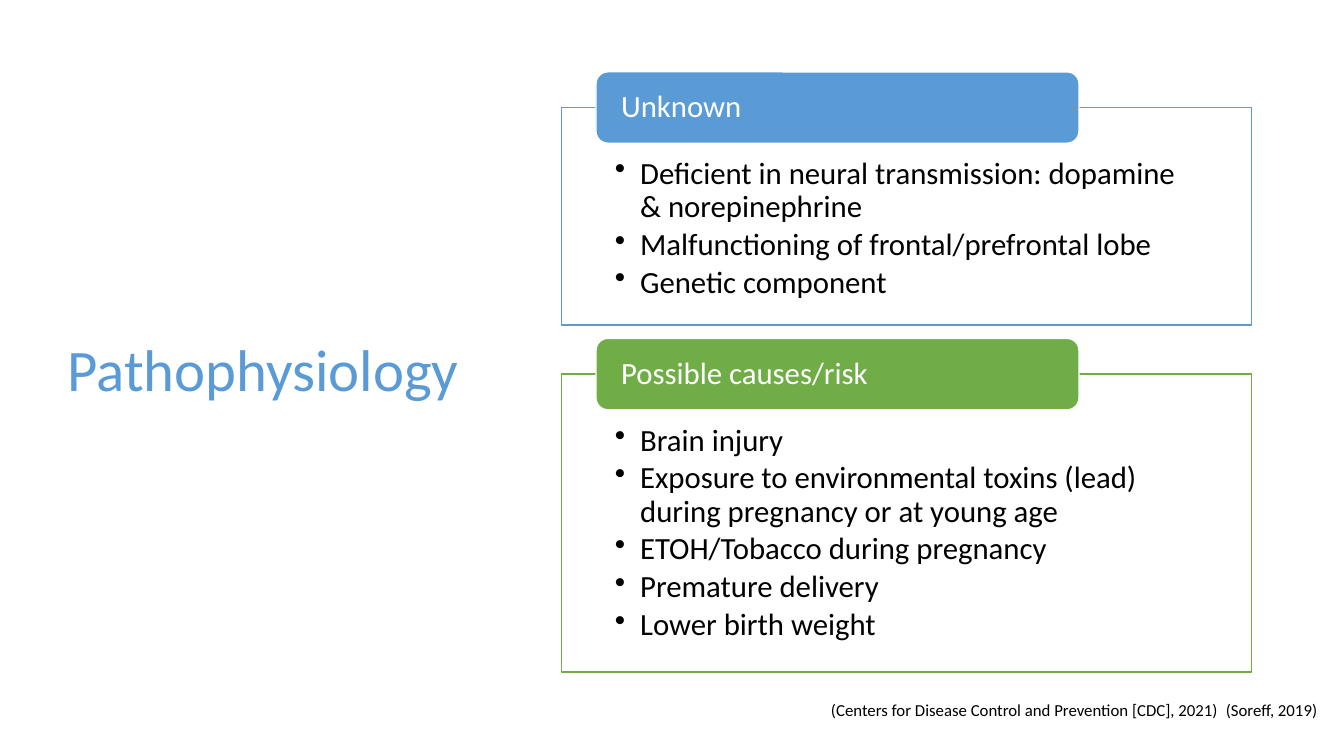
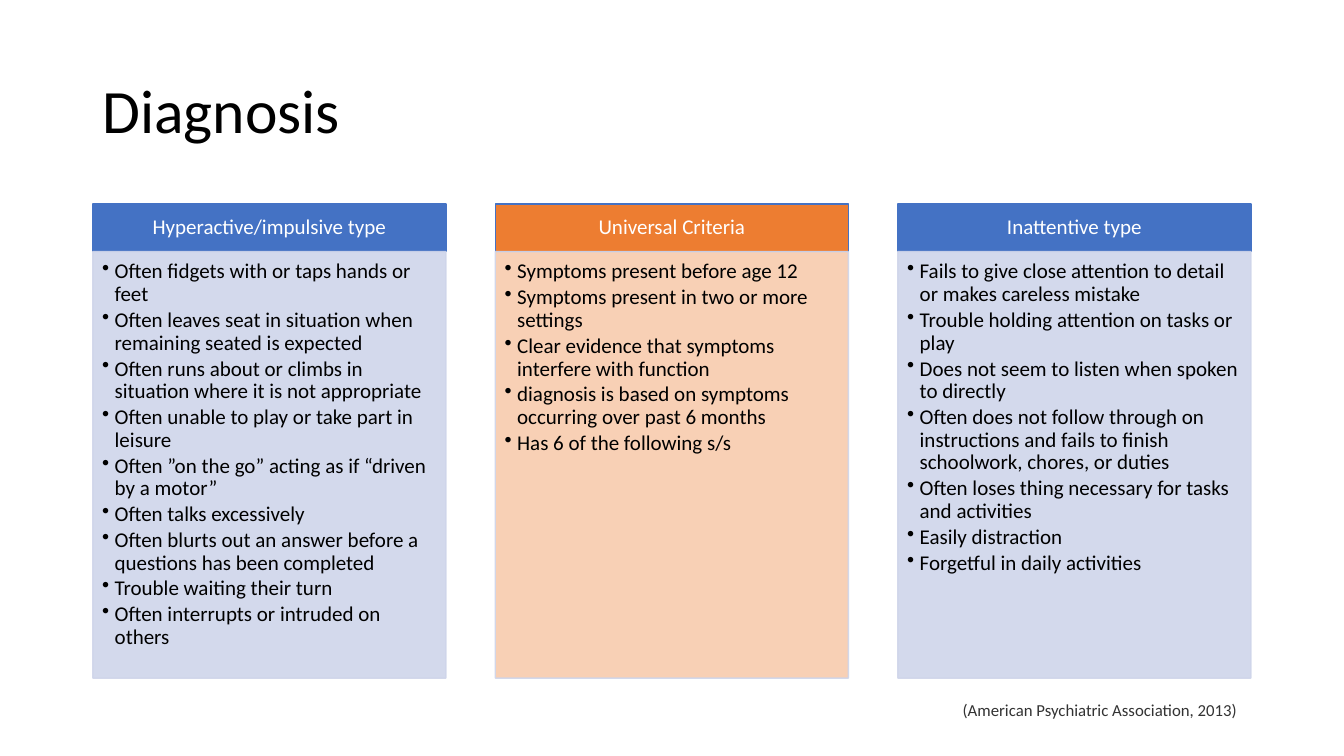
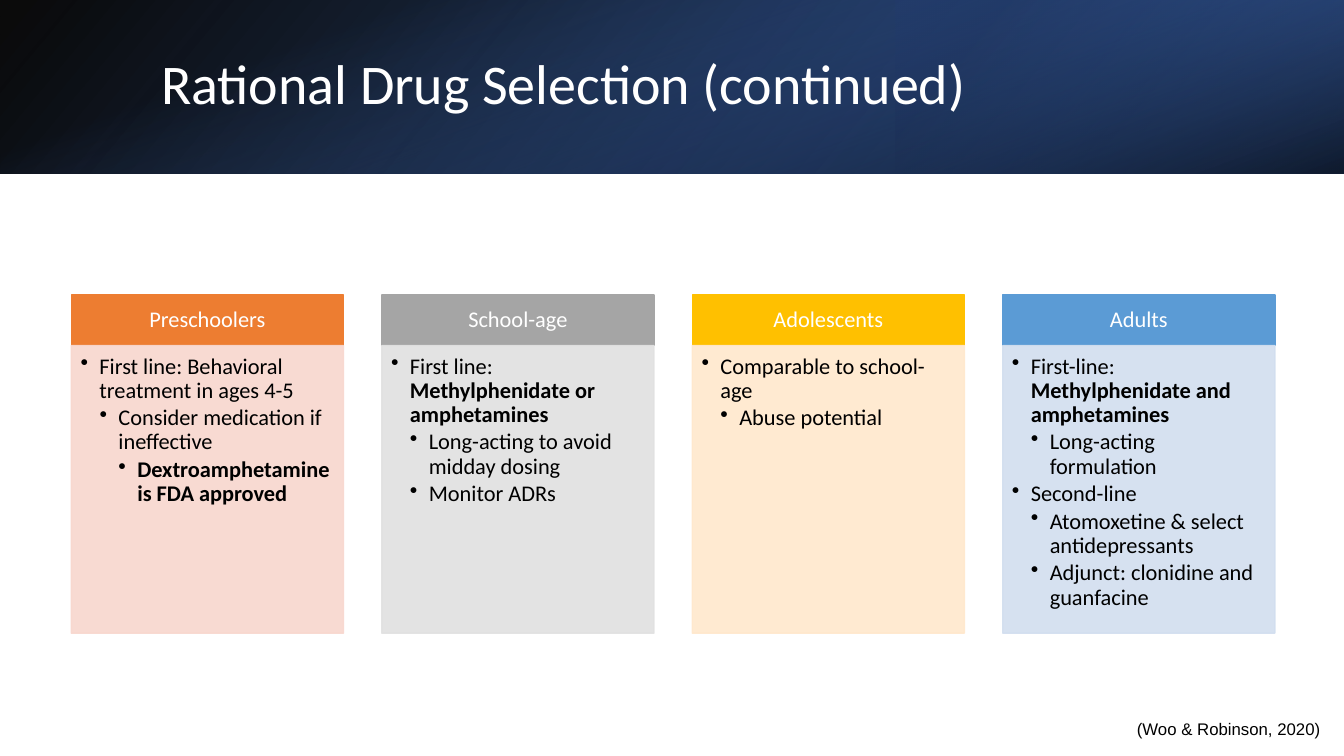
"""Build three slides on pathophysiology, diagnosis and drug selection."""

from dataclasses import dataclass
from typing import NamedTuple

import lxml.etree
import pptx
import pptx.dml.color
import pptx.enum.shapes
import pptx.enum.text
import pptx.oxml.ns
import pptx.util

Pt = pptx.util.Pt
ALIGN = pptx.enum.text.PP_ALIGN
ANCHOR = pptx.enum.text.MSO_ANCHOR
SHAPE = pptx.enum.shapes.MSO_SHAPE


@dataclass(frozen=True)
class Theme:
    font: str = "Calibri"
    note_font: str = "Arial"
    black: str = "000000"
    white: str = "FFFFFF"
    charcoal: str = "333333"
    sky: str = "5B9BD5"
    sky_tint: str = "D2DEEF"
    green: str = "70AD47"
    blue: str = "4472C4"
    blue_tint: str = "CFD5EA"
    orange: str = "ED7D31"
    orange_tint: str = "F8CBAD"
    pink_tint: str = "F8D7CE"
    gray: str = "A5A5A5"
    gray_tint: str = "E1E1E1"
    gold: str = "FFC000"
    gold_tint: str = "FFE8CC"
    navy: str = "203864"
    deep_blue: str = "2F5597"
    side_title_size: float = 42
    title_size: float = 44
    band_title_size: float = 40
    panel_size: float = 22
    criteria_size: float = 15
    age_size: float = 16
    citation_size: float = 12
    line_spacing: float = 0.9
    bullet_gap: float = 0.15


THEME = Theme()


class Box(NamedTuple):
    left: float
    top: float
    width: float
    height: float


class Insets(NamedTuple):
    left: float = 7.2
    top: float = 3.6
    right: float = 7.2
    bottom: float = 3.6


class Style(NamedTuple):
    size: float
    color: str = THEME.black
    font: str = THEME.font


class Bullet(NamedTuple):
    text: str = ""
    bold: str = ""
    level: int = 1


class Stop(NamedTuple):
    position: float
    color: str
    opacity: float = 100


@dataclass(frozen=True)
class Panel:
    heading: str
    color: str
    top: float
    height: float
    bullets: list[Bullet]


@dataclass(frozen=True)
class Column:
    heading: str
    color: str
    tint: str
    bullets: list[Bullet]
    header_line: str
    body_line: str


@dataclass(frozen=True)
class ColumnLayout:
    header: Box
    step: float
    body_height: float
    size: float
    indent: float


@dataclass(frozen=True)
class Gradient:
    box: Box
    angle: float
    stops: tuple[Stop, Stop]
    rotation: float = 0
    flipped: bool = False


HEADER_INSETS = Insets(8.6, 5, 8.6, 5)
BODY_INSETS = Insets(6.6, 6.6, 8.8, 9.8)
PANEL_INSETS = Insets(38.3, 36, 38.3, 12)
TAB_INSETS = Insets(15.5, 0, 15.5, 0)
PANEL_LEFT, PANEL_WIDTH = 401, 493
TAB_OFFSET, TAB_WIDTH, TAB_HEIGHT = 24.7, 345, 51

PANELS = [
    Panel("Unknown", THEME.sky, 76.8, 155.5, [
        Bullet("Deficient in neural transmission: dopamine & norepinephrine"),
        Bullet("Malfunctioning of frontal/prefrontal lobe"),
        Bullet("Genetic component"),
    ]),
    Panel("Possible causes/risk", THEME.green, 267.2, 213, [
        Bullet("Brain injury"),
        Bullet("Exposure to environmental toxins (lead) during pregnancy or at young age"),
        Bullet("ETOH/Tobacco during pregnancy"),
        Bullet("Premature delivery"),
        Bullet("Lower birth weight"),
    ]),
]

CRITERIA_LAYOUT = ColumnLayout(Box(66.3, 145.7, 252.2, 34), 287.5, 304.7, THEME.criteria_size, 9)
CRITERIA = [
    Column("Hyperactive/impulsive type", THEME.blue, THEME.blue_tint, [
        Bullet("Often fidgets with or taps hands or feet"),
        Bullet("Often leaves seat in situation when remaining seated is expected"),
        Bullet("Often runs about or climbs in situation where it is not appropriate"),
        Bullet("Often unable to play or take part in leisure"),
        Bullet("Often ”on the go” acting as if “driven by a motor”"),
        Bullet("Often talks excessively"),
        Bullet("Often blurts out an answer before a questions has been completed"),
        Bullet("Trouble waiting their turn"),
        Bullet("Often interrupts or intruded on others"),
    ], THEME.blue, THEME.blue_tint),
    Column("Universal Criteria", THEME.orange, THEME.orange_tint, [
        Bullet("Symptoms present before age 12"),
        Bullet("Symptoms present in two or more settings"),
        Bullet("Clear evidence that symptoms interfere with function"),
        Bullet("diagnosis is based on symptoms occurring over past 6 months"),
        Bullet("Has 6 of the following s/s"),
    ], THEME.blue, THEME.blue_tint),
    Column("Inattentive type", THEME.blue, THEME.blue_tint, [
        Bullet("Fails to give close attention to detail or makes careless mistake"),
        Bullet("Trouble holding attention on tasks or play"),
        Bullet("Does not seem to listen when spoken to directly"),
        Bullet("Often does not follow through on instructions and fails to finish "
               "schoolwork, chores, or duties"),
        Bullet("Often loses thing necessary for tasks and activities"),
        Bullet("Easily distraction"),
        Bullet("Forgetful in daily activities"),
    ], THEME.blue, THEME.blue_tint),
]

AGE_LAYOUT = ColumnLayout(Box(51, 210.8, 194.4, 36), 221.75, 205.5, THEME.age_size, 13.5)
AGE_GROUPS = [
    Column("Preschoolers", THEME.orange, THEME.pink_tint, [
        Bullet("First line: Behavioral treatment in ages 4-5"),
        Bullet("Consider medication if ineffective", level=2),
        Bullet(bold="Dextroamphetamine is FDA approved", level=3),
    ], THEME.orange, THEME.pink_tint),
    Column("School-age", THEME.gray, THEME.gray_tint, [
        Bullet("First line: ", "Methylphenidate or amphetamines"),
        Bullet("Long-acting to avoid midday dosing", level=2),
        Bullet("Monitor ADRs", level=2),
    ], THEME.gray, THEME.gray_tint),
    Column("Adolescents", THEME.gold, THEME.gold_tint, [
        Bullet("Comparable to school-age"),
        Bullet("Abuse potential", level=2),
    ], THEME.gold, THEME.gold_tint),
    Column("Adults", THEME.sky, THEME.sky_tint, [
        Bullet("First-line: ", "Methylphenidate and amphetamines"),
        Bullet("Long-acting formulation", level=2),
        Bullet("Second-line"),
        Bullet("Atomoxetine & select antidepressants", level=2),
        Bullet("Adjunct: clonidine and guanfacine", level=2),
    ], THEME.sky, THEME.sky_tint),
]

BAND_HEIGHT = 124
BAND = [
    Gradient(Box(0, 0, 960, BAND_HEIGHT), 140,
             (Stop(0, THEME.black, 96), Stop(1, THEME.deep_blue)), flipped=True),
    Gradient(Box(640, 0, 320, BAND_HEIGHT), 320,
             (Stop(0.19, THEME.navy, 68), Stop(1, THEME.blue, 79)), rotation=180, flipped=True),
    Gradient(Box(418, -418, BAND_HEIGHT, 960), 340,
             (Stop(0.23, THEME.blue, 0), Stop(0.99, THEME.black, 74)), rotation=90),
]


def rgb(color: str) -> pptx.dml.color.RGBColor:
    return pptx.dml.color.RGBColor.from_string(color)


def lengths(box: Box) -> list[int]:
    return [Pt(value) for value in box]


def add_run(paragraph, text: str, style: Style, bold: bool = False) -> None:
    run = paragraph.add_run()
    run.text = text
    run.font.name = style.font
    run.font.size = Pt(style.size)
    run.font.bold = bold
    run.font.color.rgb = rgb(style.color)


def prepare_frame(shape, insets: Insets, anchor):
    frame = shape.text_frame
    frame.word_wrap = True
    frame.vertical_anchor = anchor
    frame.margin_left, frame.margin_top, frame.margin_right, frame.margin_bottom = (
        Pt(value) for value in insets)
    return frame


def write_line(shape, text: str, style: Style, insets: Insets = Insets(),
               alignment=ALIGN.LEFT) -> None:
    paragraph = prepare_frame(shape, insets, ANCHOR.MIDDLE).paragraphs[0]
    paragraph.alignment = alignment
    paragraph.line_spacing = THEME.line_spacing
    add_run(paragraph, text, style)


def write_bullets(shape, bullets: list[Bullet], size: float, indent: float,
                  insets: Insets) -> None:
    frame = prepare_frame(shape, insets, ANCHOR.TOP)
    for index, bullet in enumerate(bullets):
        paragraph = frame.add_paragraph() if index else frame.paragraphs[0]
        paragraph.alignment = ALIGN.LEFT
        paragraph.line_spacing = THEME.line_spacing
        paragraph.space_after = Pt(size * THEME.bullet_gap)
        properties = paragraph._p.get_or_add_pPr()
        properties.set("marL", str(Pt(indent * bullet.level)))
        properties.set("indent", str(-Pt(indent)))
        mark = lxml.etree.SubElement(properties, pptx.oxml.ns.qn("a:buChar"))
        mark.set("char", "•")
        for text, bold in ((bullet.text, False), (bullet.bold, True)):
            if text:
                add_run(paragraph, text, Style(size), bold)


def set_opacity(shape, opacities: list[float]) -> None:
    colors = shape.element.spPr.iter(pptx.oxml.ns.qn("a:srgbClr"))
    for color, opacity in zip(list(colors), opacities):
        alpha = lxml.etree.SubElement(color, pptx.oxml.ns.qn("a:alpha"))
        alpha.set("val", str(int(opacity * 1000)))


def add_block(slide, box: Box, fill: str, line: str, kind=SHAPE.RECTANGLE):
    shape = slide.shapes.add_shape(kind, *lengths(box))
    shape.shadow.inherit = False
    shape.fill.solid()
    shape.fill.fore_color.rgb = rgb(fill)
    shape.line.color.rgb = rgb(line)
    shape.line.width = Pt(1)
    return shape


def add_gradient(slide, gradient: Gradient) -> None:
    shape = slide.shapes.add_shape(SHAPE.RECTANGLE, *lengths(gradient.box))
    shape.shadow.inherit = False
    shape.rotation = gradient.rotation
    shape.line.fill.background()
    shape.fill.gradient()
    shape.fill.gradient_angle = 360 - gradient.angle
    for target, stop in zip(shape.fill.gradient_stops, gradient.stops):
        target.position = stop.position
        target.color.rgb = rgb(stop.color)
    set_opacity(shape, [stop.opacity for stop in gradient.stops])
    if gradient.flipped:
        shape.element.spPr.find(pptx.oxml.ns.qn("a:xfrm")).set("flipH", "1")


def add_title(slide, text: str, box: Box, style: Style) -> None:
    write_line(slide.shapes.add_textbox(*lengths(box)), text, style)


def add_citation(slide, text: str, left: float, top: float, width: float,
                 color: str = THEME.black, font: str = THEME.font) -> None:
    shape = slide.shapes.add_textbox(*lengths(Box(left, top, width, 21.6)))
    write_line(shape, text, Style(THEME.citation_size, color, font))


def add_panel(slide, panel: Panel) -> None:
    box = Box(PANEL_LEFT, panel.top, PANEL_WIDTH, panel.height)
    body = add_block(slide, box, THEME.white, panel.color)
    write_bullets(body, panel.bullets, THEME.panel_size, 18, PANEL_INSETS)
    tab_box = Box(PANEL_LEFT + TAB_OFFSET, panel.top - TAB_HEIGHT / 2, TAB_WIDTH, TAB_HEIGHT)
    tab = add_block(slide, tab_box, panel.color, THEME.white, SHAPE.ROUNDED_RECTANGLE)
    write_line(tab, panel.heading, Style(THEME.panel_size, THEME.white), TAB_INSETS)


def add_columns(slide, columns: list[Column], layout: ColumnLayout) -> None:
    for index, column in enumerate(columns):
        header_box = layout.header._replace(left=layout.header.left + index * layout.step)
        header = add_block(slide, header_box, column.color, column.header_line)
        write_line(header, column.heading, Style(layout.size, THEME.white),
                   HEADER_INSETS, ALIGN.CENTER)
        body_box = header_box._replace(top=header_box.top + header_box.height,
                                       height=layout.body_height)
        body = add_block(slide, body_box, column.tint, column.body_line)
        set_opacity(body, [90, 90])
        write_bullets(body, column.bullets, layout.size, layout.indent, BODY_INSETS)


def build_pathophysiology(slide) -> None:
    add_title(slide, "Pathophysiology", Box(41, 49, 299.5, 433.5),
              Style(THEME.side_title_size, THEME.sky))
    add_citation(slide, "(Soreff, 2019)", 868.5, 497, 84)
    add_citation(slide, "(Centers for Disease Control and Prevention [CDC], 2021)", 586.5, 497, 342)
    for panel in PANELS:
        add_panel(slide, panel)


def build_diagnosis(slide) -> None:
    add_title(slide, "Diagnosis", Box(66, 28.8, 828, 104.4), Style(THEME.title_size))
    add_columns(slide, CRITERIA, CRITERIA_LAYOUT)
    add_citation(slide, "(American Psychiatric Association, 2013)", 680.5, 497, 213, THEME.charcoal)


def build_drug_selection(slide) -> None:
    for gradient in BAND:
        add_gradient(slide, gradient)
    add_title(slide, "Rational Drug Selection (continued)", Box(108, 27.4, 790.5, 69),
              Style(THEME.band_title_size, THEME.white))
    add_columns(slide, AGE_GROUPS, AGE_LAYOUT)
    add_citation(slide, "(Woo & Robinson, 2020)", 805, 510.5, 150, font=THEME.note_font)


def main() -> None:
    presentation = pptx.Presentation()
    presentation.slide_width = Pt(960)
    presentation.slide_height = Pt(540)
    for build in (build_pathophysiology, build_diagnosis, build_drug_selection):
        build(presentation.slides.add_slide(presentation.slide_layouts[6]))
    presentation.save("out.pptx")


if __name__ == "__main__":
    main()
